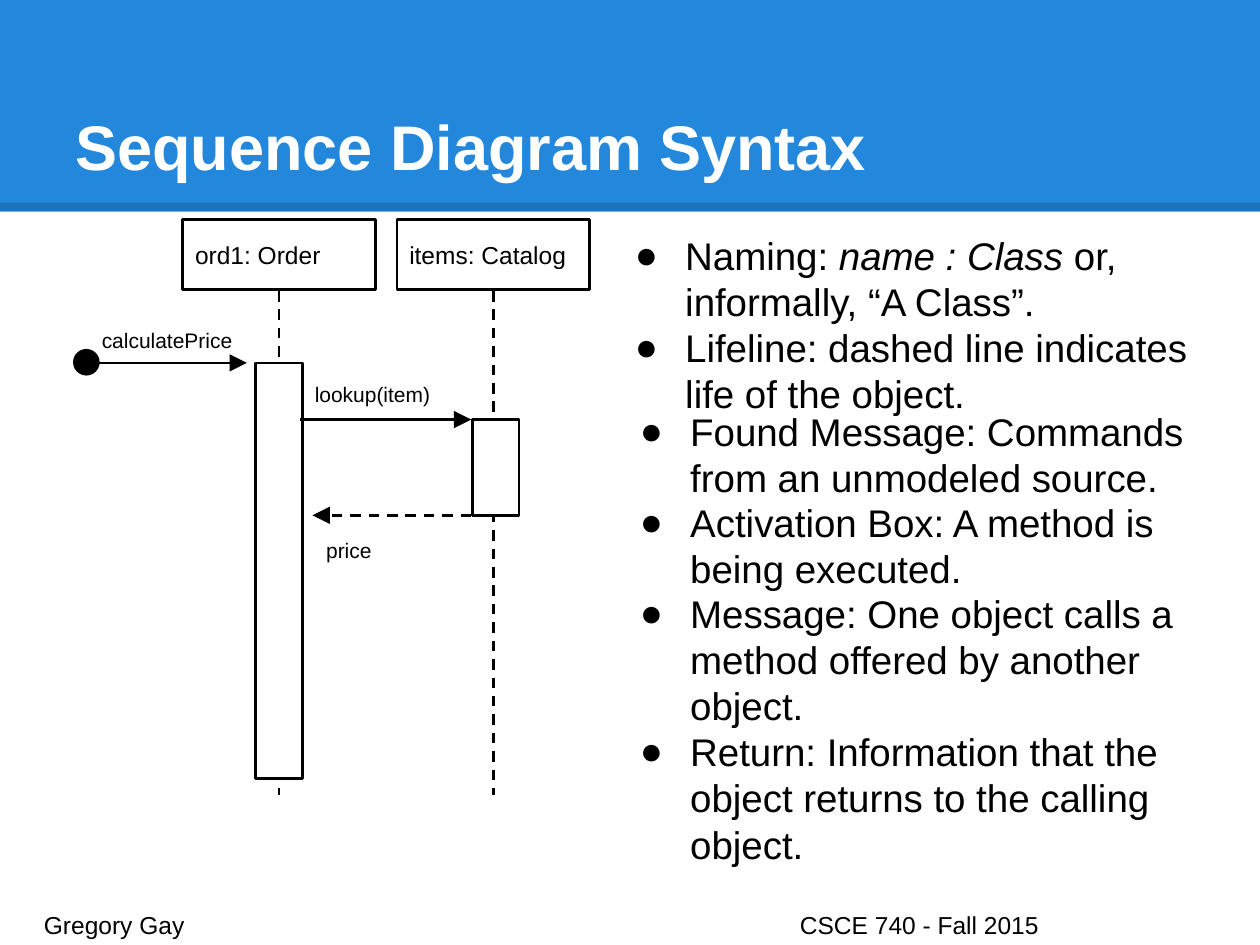
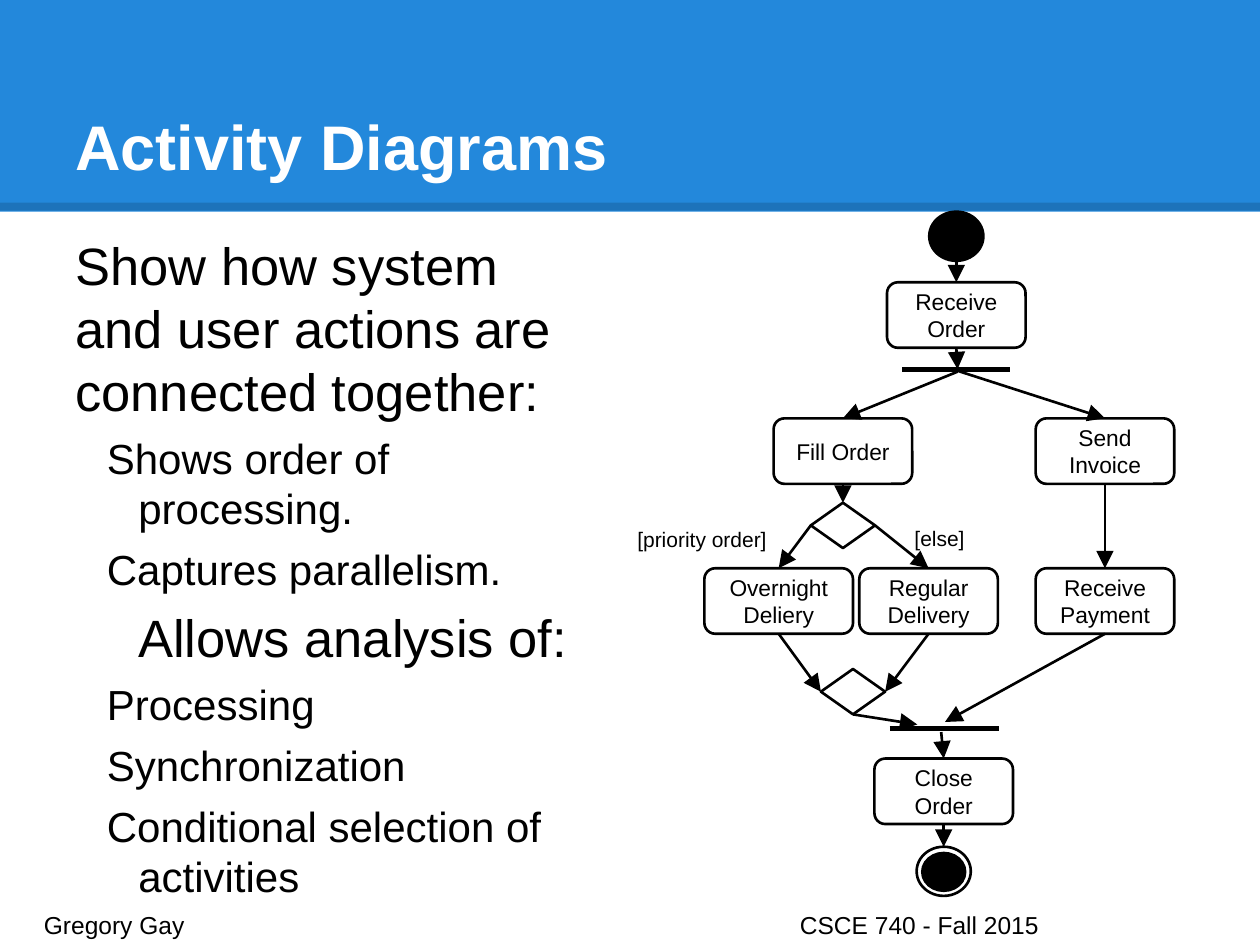
from lxml import etree
from pptx import Presentation
from pptx.dml.color import RGBColor
from pptx.enum.dml import MSO_LINE
from pptx.enum.shapes import MSO_CONNECTOR, MSO_SHAPE
from pptx.enum.text import MSO_ANCHOR, PP_ALIGN
from pptx.oxml.ns import qn
from pptx.util import Cm, Pt

STRAIGHT = MSO_CONNECTOR.STRAIGHT
RECT, ROUNDED = MSO_SHAPE.RECTANGLE, MSO_SHAPE.ROUNDED_RECTANGLE
OVAL, DECISION = MSO_SHAPE.OVAL, MSO_SHAPE.FLOWCHART_DECISION
TOP, MIDDLE, BOTTOM = MSO_ANCHOR.TOP, MSO_ANCHOR.MIDDLE, MSO_ANCHOR.BOTTOM
LEFT, CENTER = PP_ALIGN.LEFT, PP_ALIGN.CENTER
DASH = MSO_LINE.DASH

FONT = "Arial"
BLACK, WHITE, BLUE = "000000", "FFFFFF", "2388DB"
FOOTER = "Gregory Gay\tCSCE 740 - Fall 2015"

OBJECTS = [("ord1: Order", 1.45), ("items: Catalog", 3.15)]
OBJECT_TOP, OBJECT_W, OBJECT_H = 1.74, 1.53, 0.56
LIFELINE = (2.31, 6.31)
ACTIVATIONS = [(2.03, 2.88, 0.37, 3.3), (3.75, 3.33, 0.37, 0.76)]
FOUND_SOURCE = (0.59, 2.78, 0.19, 0.19)
MESSAGES = [
    ("calculatePrice", (0.71, 2.5), (0.78, 2.88), (1.96, 2.88), None),
    ("lookup(item)", (2.4, 2.93), (2.38, 3.33), (3.74, 3.33), None),
    ("price", (2.49, 4.17), (3.74, 4.09), (2.48, 4.09), DASH),
]
NOTES = [
    (4.84, 1.74, [
        [("Naming: ", False), ("name : Class", True),
         (" or, informally, “A Class”.", False)],
        [("Lifeline: dashed line indicates life of the object.", False)]]),
    (4.88, 3.14, [[("Found Message: Commands from an unmodeled source.", False)]]),
    (4.88, 3.86, [[("Activation Box: A method is being executed.", False)]]),
    (4.88, 4.58, [[("Message: One object calls a method offered by another object.",
                    False)]]),
    (4.88, 5.68, [[("Return: Information that the object returns to the calling object.",
                    False)]]),
]

POINTS = [
    ("Show how system and user actions are connected together:", 30, 0, 0),
    ("Shows order of processing.", 24, 0.5, -0.25),
    ("Captures parallelism.", 24, 0.5, -0.25),
    ("Allows analysis of:", 30, 0.5, 0),
    ("Processing", 24, 0.5, -0.25),
    ("Synchronization", 24, 0.5, -0.25),
    ("Conditional selection of activities", 24, 0.5, -0.25),
]

SIZES = {"action": (1.1, 0.52), "wide": (1.18, 0.52), "choice": (0.51, 0.36),
         "dot": (0.43, 0.39), "ring": (0.43, 0.39), "core": (0.34, 0.3)}
KINDS = {"action": (ROUNDED, WHITE), "wide": (ROUNDED, WHITE),
         "choice": (DECISION, WHITE), "dot": (OVAL, BLACK),
         "ring": (OVAL, WHITE), "core": (OVAL, BLACK)}
NODES = {
    "start": ("dot", 7.59, 1.68, ""),
    "receive": ("action", 7.59, 2.24, "Receive Order"),
    "fill": ("action", 6.69, 3.32, "Fill Order"),
    "invoice": ("action", 8.77, 3.32, "Send Invoice"),
    "split": ("choice", 6.69, 3.99, ""),
    "overnight": ("wide", 6.18, 4.51, "Overnight Deliery"),
    "regular": ("action", 7.37, 4.51, "Regular Delivery"),
    "payment": ("action", 8.77, 4.51, "Receive Payment"),
    "merge": ("choice", 6.77, 5.31, ""),
    "close": ("action", 7.49, 6.02, "Close Order"),
    "end": ("ring", 7.49, 6.72, ""),
    "end core": ("core", 7.49, 6.77, ""),
}
SYNC_BARS = [((7.16, 2.93), (8.02, 2.93)), ((7.06, 5.78), (7.93, 5.78))]
FLOWS = [
    (("start", "bottom"), ("receive", "top")),
    (("receive", "bottom"), (7.6, 2.93)),
    ((7.6, 2.95), ("fill", "top")),
    ((7.59, 2.94), ("invoice", "top")),
    (("fill", "bottom"), ("split", "top")),
    (("split", "left"), ("overnight", "top")),
    (("split", "right"), ("regular", "top")),
    (("invoice", "bottom"), ("payment", "top")),
    (("overnight", "bottom"), ("merge", "left")),
    (("regular", "bottom"), ("merge", "right")),
    (("merge", "bottom"), (7.28, 5.75)),
    (("payment", "bottom"), (7.5, 5.73)),
    ((7.47, 5.81), ("close", "top")),
    (("close", "bottom"), ("end", "top")),
]
GUARDS = [("[priority order]", 4.96, 4.08, 1.34), ("[else]", 7.16, 4.07, 0.64)]


def inch(v):
    return Cm(v * 2.54)


def rgb(color):
    return RGBColor.from_string(color)


def set_frame(sp, anchor):
    tf = sp.text_frame
    tf.word_wrap = True
    tf.vertical_anchor = anchor
    tf.margin_left = tf.margin_right = tf.margin_top = tf.margin_bottom = inch(0.1)
    return tf


def add_run(p, text, size, color=BLACK, bold=False, italic=False):
    r = p.add_run()
    r.text = text
    f = r.font
    f.name, f.size, f.bold, f.italic = FONT, Pt(size), bold, italic
    f.color.rgb = rgb(color)


def add_text(s, box, text, size, color=BLACK, bold=False, anchor=TOP):
    sp = s.shapes.add_textbox(*map(inch, box))
    p = set_frame(sp, anchor).paragraphs[0]
    add_run(p, text, size, color, bold)
    return p


def next_paragraph(tf, i):
    return tf.add_paragraph() if i else tf.paragraphs[0]


def set_indent(p, margin, first):
    pPr = p._p.get_or_add_pPr()
    pPr.set("marL", str(inch(margin)))
    pPr.set("indent", str(inch(first)))
    return pPr


def add_box(s, kind, box, fill=WHITE, text="", size=14, align=LEFT, line=BLACK):
    sp = s.shapes.add_shape(kind, *map(inch, box))
    sp.shadow.inherit = False
    sp.fill.solid()
    sp.fill.fore_color.rgb = rgb(fill)
    if line:
        sp.line.color.rgb = rgb(line)
        sp.line.width = Pt(1.5)
    else:
        sp.line.fill.background()
    if text:
        p = set_frame(sp, MIDDLE).paragraphs[0]
        p.alignment = align
        add_run(p, text, size)


def add_line(s, start, end, width=1.5, dash=None, arrow=False):
    c = s.shapes.add_connector(STRAIGHT, *map(inch, start + end))
    c.line.color.rgb = rgb(BLACK)
    c.line.width = Pt(width)
    if dash:
        c.line.dash_style = dash
    if arrow:
        etree.SubElement(c.line._get_or_add_ln(), qn("a:tailEnd"),
                         type="triangle", w="lg", len="lg")
    etree.SubElement(c._element.spPr, qn("a:effectLst"))
    return c


def add_base(prs, title):
    s = prs.slides.add_slide(prs.slide_layouts[6])
    add_box(s, RECT, (0, 0, 10, 1.68), BLUE, line=None)
    edge = add_line(s, (0, 1.64), (10, 1.64), 4.5)
    color = edge._element.spPr.find(".//" + qn("a:srgbClr"))
    etree.SubElement(color, qn("a:alpha"), val="15000")
    add_text(s, (0.5, 0.3, 9, 1.25), title, 36, WHITE, True, BOTTOM)
    return s


def add_footer(s):
    p = add_text(s, (0.25, 7.12, 9.51, 0.3), FOOTER, 14)
    tabs = etree.SubElement(p._p.get_or_add_pPr(), qn("a:tabLst"))
    etree.SubElement(tabs, qn("a:tab"), pos=str(inch(6)), algn="l")


def add_sequence_slide(prs):
    s = add_base(prs, "Sequence Diagram Syntax")
    for name, x in OBJECTS:
        add_box(s, RECT, (x, OBJECT_TOP, OBJECT_W, OBJECT_H), text=name)
        middle = x + OBJECT_W / 2
        add_line(s, (middle, LIFELINE[0]), (middle, LIFELINE[1]), dash=DASH)
    for box in ACTIVATIONS:
        add_box(s, RECT, box)
    add_box(s, OVAL, FOUND_SOURCE, BLACK)
    for name, label_at, start, end, dash in MESSAGES:
        add_line(s, start, end, dash=dash, arrow=True)
        add_text(s, label_at + (1.33, 0.34), name, 12)
    for x, y, bullets in NOTES:
        tf = set_frame(s.shapes.add_textbox(*map(inch, (x, y, 4.7, 0.94))), TOP)
        for i, runs in enumerate(bullets):
            p = next_paragraph(tf, i)
            pPr = set_indent(p, 0.5, -0.4)
            etree.SubElement(pPr, qn("a:buFont"), typeface=FONT)
            etree.SubElement(pPr, qn("a:buChar"), char="●")
            for text, italic in runs:
                add_run(p, text, 22, italic=italic)
    add_footer(s)


def node_box(name):
    kind, middle, top, _ = NODES[name]
    w, h = SIZES[kind]
    return middle - w / 2, top, w, h


def flow_point(end):
    if end[0] not in NODES:
        return end
    x, y, w, h = node_box(end[0])
    return {"top": (x + w / 2, y), "bottom": (x + w / 2, y + h),
            "left": (x, y + h / 2), "right": (x + w, y + h / 2)}[end[1]]


def add_activity_slide(prs):
    s = add_base(prs, "Activity Diagrams")
    tf = set_frame(s.shapes.add_textbox(*map(inch, (0.5, 1.75, 4.3, 5.43))), TOP)
    for i, (text, size, margin, first) in enumerate(POINTS):
        p = next_paragraph(tf, i)
        set_indent(p, margin, first)
        if i:
            p.space_before = Pt(6)
        add_run(p, text, size)
    for start, end in SYNC_BARS:
        add_line(s, start, end, 3)
    for name, (kind, _, _, text) in NODES.items():
        shape, fill = KINDS[kind]
        add_box(s, shape, node_box(name), fill, text, 13, CENTER)
    for start, end in FLOWS:
        add_line(s, flow_point(start), flow_point(end), arrow=True)
    for text, x, y, w in GUARDS:
        add_text(s, (x, y, w, 0.21), text, 12)
    add_footer(s)


def main():
    prs = Presentation()
    prs.slide_width, prs.slide_height = inch(10), inch(7.5)
    add_sequence_slide(prs)
    add_activity_slide(prs)
    prs.save("out.pptx")


if __name__ == "__main__":
    main()
